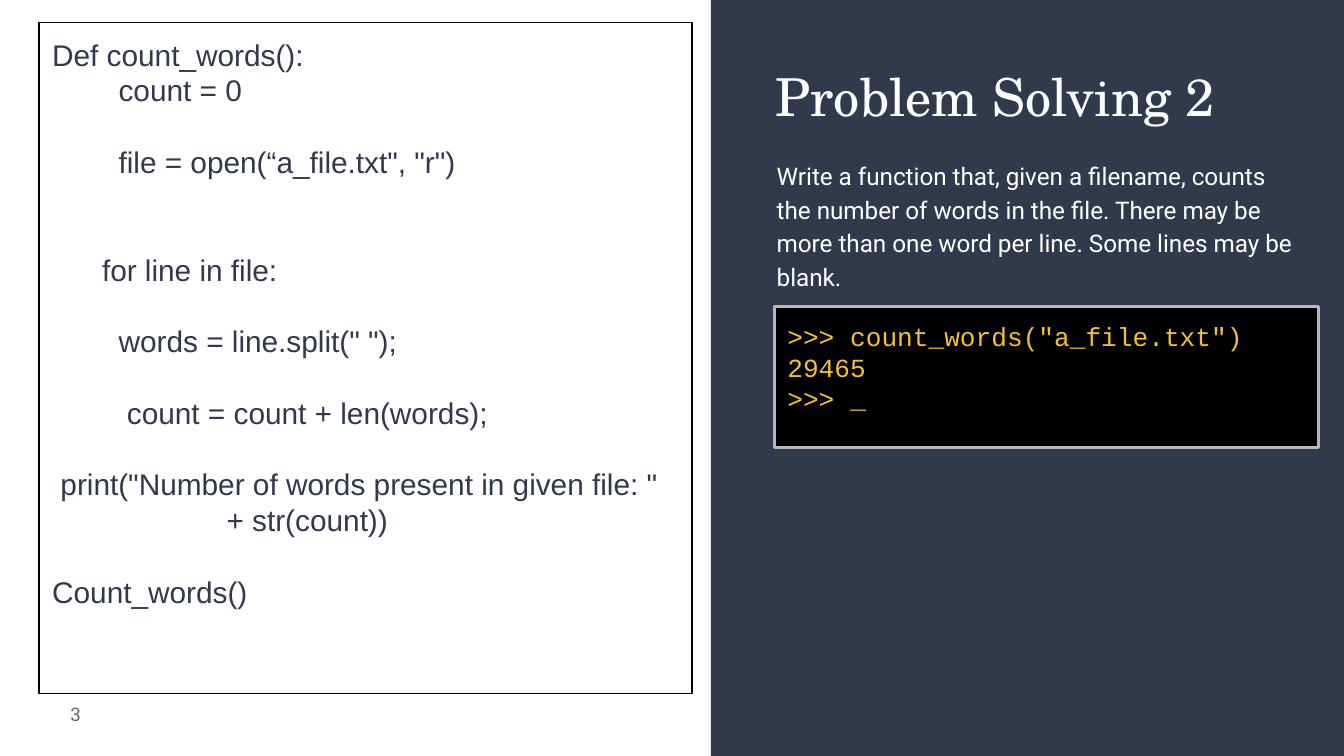
from pptx import Presentation
from pptx.dml.color import RGBColor
from pptx.enum.shapes import MSO_SHAPE
from pptx.enum.text import MSO_ANCHOR, PP_ALIGN
from pptx.util import Pt

NAVY = "31394D"
WHITE = "FFFFFF"
GOLD = "F1C232"
LINE = 19.2
SPACE = 4.45


def color(value):
    return RGBColor.from_string(value)


def write(box, text, size, font, ink, align=PP_ALIGN.LEFT, spacing=None,
          before=0, after=0, indent=0):
    frame = box.text_frame
    para = frame.paragraphs[0]
    if para.runs:
        para = frame.add_paragraph()
    para.alignment = align
    para.line_spacing = spacing
    para.space_before = Pt(before)
    para.space_after = Pt(after)
    if indent:
        para._p.get_or_add_pPr().set("marL", str(Pt(indent)))
    span = para.add_run()
    span.text = text
    span.font.size = Pt(size)
    span.font.name = font
    span.font.color.rgb = color(ink)
    return para


deck = Presentation()
deck.slide_width = Pt(720)
deck.slide_height = Pt(405)
page = deck.slides.add_slide(deck.slide_layouts[6])

panels = []
for left, top, width, height, fill, line, weight in [
    (380.9, 0, 339.1, 405, NAVY, None, 0),
    (20.9, 12.2, 349.9, 359.3, None, "000000", 0.75),
    (414.7, 164.2, 291.6, 75.6, "000000", "B7B7B7", 1.5),
]:
    panel = page.shapes.add_shape(MSO_SHAPE.RECTANGLE, Pt(left), Pt(top), Pt(width), Pt(height))
    panel.shadow.inherit = False
    if fill:
        panel.fill.solid()
        panel.fill.fore_color.rgb = color(fill)
    else:
        panel.fill.background()
    if line:
        panel.line.color.rgb = color(line)
        panel.line.width = Pt(weight)
    else:
        panel.line.fill.background()
    panels.append(panel)
sidebar, code, console = panels

title, task, number = [
    page.shapes.add_textbox(Pt(left), Pt(top), Pt(width), Pt(height))
    for left, top, width, height in [
        (408.6, 27.4, 291.6, 50.4),
        (409, 77, 291.6, 72.7),
        (7.2, 367.2, 43.2, 31),
    ]
]

for box in (code, console, title, task, number):
    frame = box.text_frame
    frame.word_wrap = True
    frame.vertical_anchor = MSO_ANCHOR.TOP
    frame.margin_left = frame.margin_right = Pt(7.2)
    frame.margin_top = frame.margin_bottom = Pt(7.2)
number.text_frame.vertical_anchor = MSO_ANCHOR.MIDDLE

write(title, "Problem Solving 2", 28, "TeX Gyre Schola", WHITE)
write(task, "Write a function that, given a filename, counts the number of words in the file. "
      "There may be more than one word per line. Some lines may be blank.",
      13, "Roboto", WHITE, spacing=1.15, after=16)
write(number, "3", 10, "Roboto", "666666", align=PP_ALIGN.RIGHT)

for text, spaces, gap in [
    ("Def count_words():", 0, 0),
    ("count = 0", 8, 0),
    ("file = open(“a_file.txt\", \"r\")", 8, 1),
    ("for line in file:", 6, 2),
    ("words = line.split(\" \");", 8, 1),
    ("count = count + len(words);", 9, 1),
    ("print(\"Number of words present in given file: \"", 1, 1),
    ("+ str(count))", 21, 0),
    ("Count_words()", 0, 1),
]:
    write(code, text, 16, "Arial", NAVY, align=PP_ALIGN.JUSTIFY, spacing=Pt(LINE),
          before=gap * LINE, indent=spaces * SPACE)

for text in (">>> count_words(\"a_file.txt\")", "29465", ">>> "):
    prompt = write(console, text, 14, "Courier New", GOLD)
cursor = prompt.add_run()
cursor.text = "_"
cursor.font.size = Pt(14)
cursor.font.name = "Courier New"
cursor.font.bold = True
cursor.font.color.rgb = color(GOLD)

deck.save("out.pptx")
